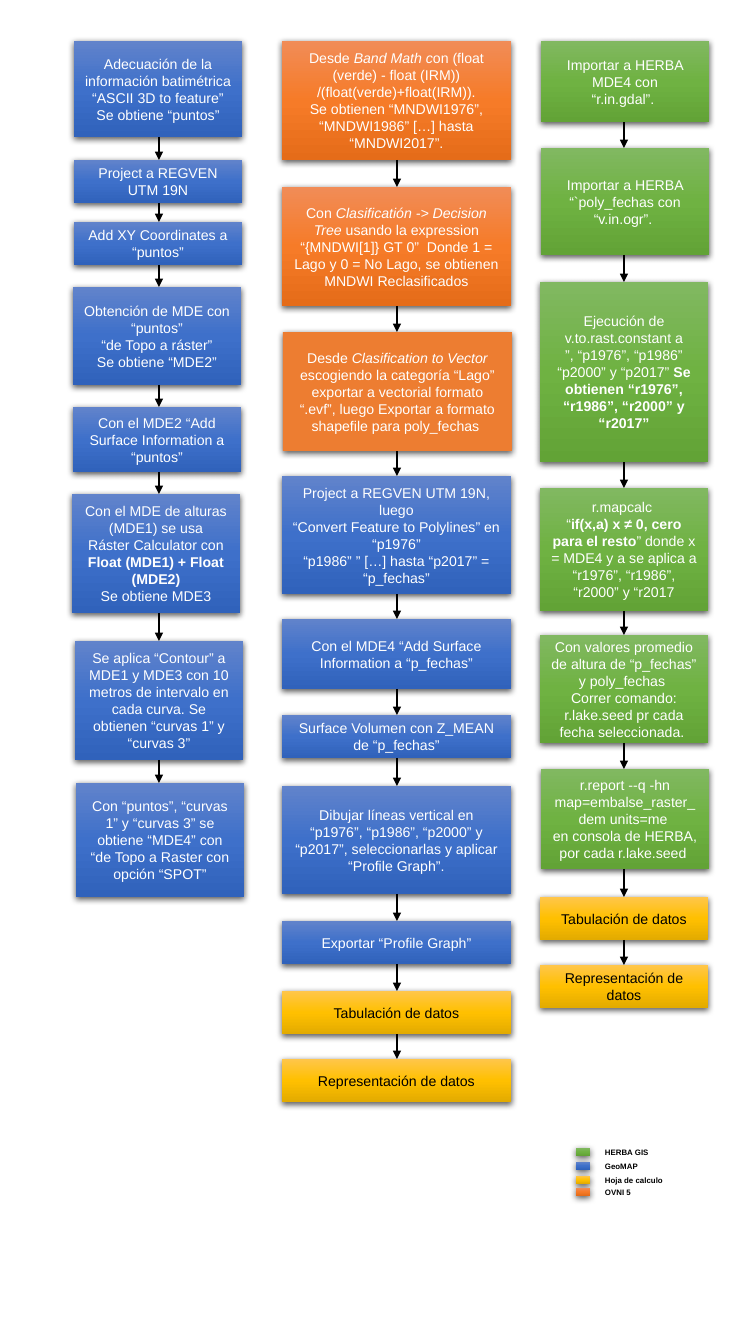
from copy import deepcopy
from itertools import pairwise

from lxml import etree
from pptx import Presentation
from pptx.dml.color import RGBColor
from pptx.enum.shapes import MSO_CONNECTOR, MSO_SHAPE
from pptx.enum.text import MSO_ANCHOR, PP_ALIGN
from pptx.oxml.ns import qn
from pptx.util import Pt

RECT = MSO_SHAPE.RECTANGLE
STRAIGHT = MSO_CONNECTOR.STRAIGHT
MIDDLE = MSO_ANCHOR.MIDDLE
CENTER = PP_ALIGN.CENTER
LEFT = PP_ALIGN.LEFT

BLUE = ("6183CB", "3E70CA", "3062BB")
GREEN = ("81B861", "6FB242", "62A336")
YELLOW = ("FFC64B", "FFC000", "E3AB00")
ORANGE = ("F18C57", "F67B28", "E56C19")
FLAT_ORANGE = ("ED7D31",)


def px(n):
    return round(n * 914400 / 100.8)


def rgb(color):
    return RGBColor.from_string(color)


class Page:
    font = "Arial"
    body_size = 10.1
    legend_size = 5.6
    white = "FFFFFF"
    black = "000000"

    def __init__(self, slide):
        self.s = slide

    def add_text(self, tf, paragraphs, size, color, align, bold=False):
        for i, runs in enumerate(paragraphs):
            p = tf.add_paragraph() if i else tf.paragraphs[0]
            p.alignment = align
            for text, style in [(runs, "")] if isinstance(runs, str) else runs:
                r = p.add_run()
                r.text = text
                r.font.name = self.font
                r.font.size = Pt(size)
                r.font.color.rgb = rgb(color)
                r.font.bold = bold or style == "b"
                r.font.italic = style == "i"

    def paint(self, sp, colors):
        if len(colors) == 1:
            sp.fill.solid()
            sp.fill.fore_color.rgb = rgb(colors[0])
            return
        sp.fill.gradient()
        sp.fill.gradient_angle = 270
        gs_list = sp._element.spPr.find(".//" + qn("a:gsLst"))
        gs_list.insert(1, deepcopy(gs_list[0]))
        for i, (stop, color) in enumerate(zip(sp.fill.gradient_stops, colors)):
            stop.position = i / 2
            stop.color.rgb = rgb(color)

    def shade(self, sp):
        sp.shadow.inherit = False
        effects = sp._element.spPr.find(qn("a:effectLst"))
        shadow = etree.SubElement(
            effects, qn("a:outerShdw"), blurRad=str(Pt(4.5)), dist=str(Pt(1.5)),
            dir="5400000", algn="ctr", rotWithShape="0")
        color = etree.SubElement(shadow, qn("a:srgbClr"), val=self.black)
        etree.SubElement(color, qn("a:alpha"), val="63000")

    def block(self, x, y, w, h, colors):
        sp = self.s.shapes.add_shape(RECT, px(x), px(y), px(w), px(h))
        self.paint(sp, colors)
        sp.line.fill.background()
        self.shade(sp)
        return sp

    def step(self, x, y, w, h, colors, paragraphs):
        tf = self.block(x, y, w, h, colors).text_frame
        tf.word_wrap = True
        tf.vertical_anchor = MIDDLE
        color = self.black if colors == YELLOW else self.white
        self.add_text(tf, paragraphs, self.body_size, color, CENTER)

    def arrow(self, x, top, bottom):
        sp = self.s.shapes.add_connector(STRAIGHT, px(x), px(top), px(x), px(bottom))
        sp.line.width = Pt(1.5)
        sp.line.color.rgb = rgb(self.black)
        sp_pr = sp._element.spPr
        etree.SubElement(sp_pr.find(qn("a:ln")), qn("a:tailEnd"), type="triangle")
        etree.SubElement(sp_pr, qn("a:effectLst"))

    def label(self, x, y, w, h, text):
        tf = self.s.shapes.add_textbox(px(x), px(y), px(w), px(h)).text_frame
        tf.word_wrap = False
        self.add_text(tf, [text], self.legend_size, self.black, LEFT, bold=True)


TABULATE = ["Tabulación de datos"]
PRESENT = ["Representación de datos"]

BATHYMETRY = [
    (74, 41, 96, BLUE, ["Adecuación de la información batimétrica “ASCII 3D to feature”",
                        "Se obtiene “puntos”"]),
    (74, 160, 43, BLUE, ["Project a REGVEN UTM 19N"]),
    (74, 222, 43, BLUE, ["Add XY Coordinates a “puntos”"]),
    (73, 287, 98, BLUE, ["Obtención de MDE con “puntos”", "“de Topo a ráster”",
                         "Se obtiene “MDE2”"]),
    (73, 407, 65, BLUE, ["Con el MDE2 “Add Surface Information a “puntos”"]),
    (72, 494, 119, BLUE, ["Con el MDE de alturas (MDE1) se usa", "Ráster Calculator con",
                          [("Float (MDE1) + Float (MDE2)", "b")], "Se obtiene MDE3"]),
    (75, 641, 119, BLUE, ["Se aplica “Contour” a MDE1 y MDE3 con 10 metros de intervalo "
                          "en cada curva. Se obtienen “curvas 1” y “curvas 3”"]),
    (76, 783, 114, BLUE, ["Con “puntos”, “curvas 1” y “curvas 3” se obtiene “MDE4” con "
                          "“de Topo a Raster con opción “SPOT”"]),
]
WATER_INDEX = [
    (282, 41, 119, ORANGE, [[("Desde ", ""), ("Band Math c", "i"),
                             ("on (float (verde) - float (IRM)) "
                              "/(float(verde)+float(IRM)).", "")],
                            "Se obtienen “MNDWI1976”, “MNDWI1986” […] hasta “MNDWI2017”."]),
    (282, 187, 119, ORANGE, [[("Con ", ""), ("Clasificatión -> Decision Tree ", "i"),
                              ("usando la expression “{MNDWI[1]} GT 0”  Donde 1 = Lago y "
                               "0 = No Lago, se obtienen MNDWI Reclasificados", "")]]),
    (283, 332, 119, FLAT_ORANGE, [[("Desde ", ""), ("Clasification to Vector ", "i"),
                                   ("escogiendo la categoría “Lago” exportar a vectorial "
                                    "formato “.evf”, luego Exportar a formato shapefile "
                                    "para poly_fechas ", "")]]),
    (282, 476, 118, BLUE, ["Project a REGVEN UTM 19N, luego",
                           "“Convert Feature to Polylines” en “p1976”",
                           "“p1986” ” […] hasta “p2017” = “p_fechas”"]),
    (282, 619, 70, BLUE, ["Con el MDE4 “Add Surface Information a “p_fechas”"]),
    (282, 715, 43, BLUE, ["Surface Volumen con Z_MEAN de “p_fechas”"]),
    (282, 786, 108, BLUE, ["Dibujar líneas vertical en “p1976”, “p1986”, “p2000” y “p2017”, "
                           "seleccionarlas y aplicar “Profile Graph”."]),
    (282, 921, 43, BLUE, ["Exportar “Profile Graph”"]),
    (282, 991, 43, YELLOW, TABULATE),
    (282, 1059, 43, YELLOW, PRESENT),
]
RASTER = [
    (541, 41, 81, GREEN, ["Importar a HERBA MDE4 con", "“r.in.gdal”. "]),
    (541, 148, 107, GREEN, ["Importar a HERBA “`poly_fechas con", "“v.in.ogr”. "]),
    (540, 282, 180, GREEN, ["Ejecución de v.to.rast.constant a", "”, “p1976”, “p1986”",
                            [("“p2000” y “p2017” ", ""),
                             ("Se obtienen “r1976”, “r1986”, “r2000” y “r2017”", "b")]]),
    (540, 488, 123, GREEN, ["r.mapcalc ",
                            [("“", ""), ("if(x,a) x ≠ 0, cero para el resto", "b"),
                             ("” donde x = MDE4 y a se aplica a “r1976”, “r1986”, "
                              "“r2000” y “r2017", "")]]),
    (540, 635, 108, GREEN, ["Con valores promedio de altura de “p_fechas” y poly_fechas ",
                            "Correr comando: r.lake.seed pr cada fecha seleccionada. "]),
    (541, 769, 100, GREEN, ["r.report --q -hn map=embalse_raster_dem units=me ",
                            "en consola de HERBA, por cada r.lake.seed "]),
    (540, 897, 43, YELLOW, TABULATE),
    (540, 965, 43, YELLOW, PRESENT),
]
COLUMNS = [(168, 159, BATHYMETRY), (229, 397, WATER_INDEX), (168, 624, RASTER)]
LEGEND = [
    (1148, GREEN, "HERBA GIS"),
    (1162, BLUE, "GeoMAP"),
    (1176, YELLOW, "Hoja de calculo"),
    (1188, ORANGE, "OVNI 5"),
]

prs = Presentation()
prs.slide_width, prs.slide_height = px(756), px(1344)
page = Page(prs.slides.add_slide(prs.slide_layouts[6]))

for width, arrow_x, steps in COLUMNS:
    for x, y, h, colors, paragraphs in steps:
        page.step(x, y, width, h, colors, paragraphs)
    for (_, y, h, *_), (_, next_y, *_) in pairwise(steps):
        page.arrow(arrow_x, y + h, next_y)

for y, colors, text in LEGEND:
    page.block(576, y, 14, 8, colors)
    page.label(595, y - 5, 80, 20, text)

prs.save("out.pptx")
